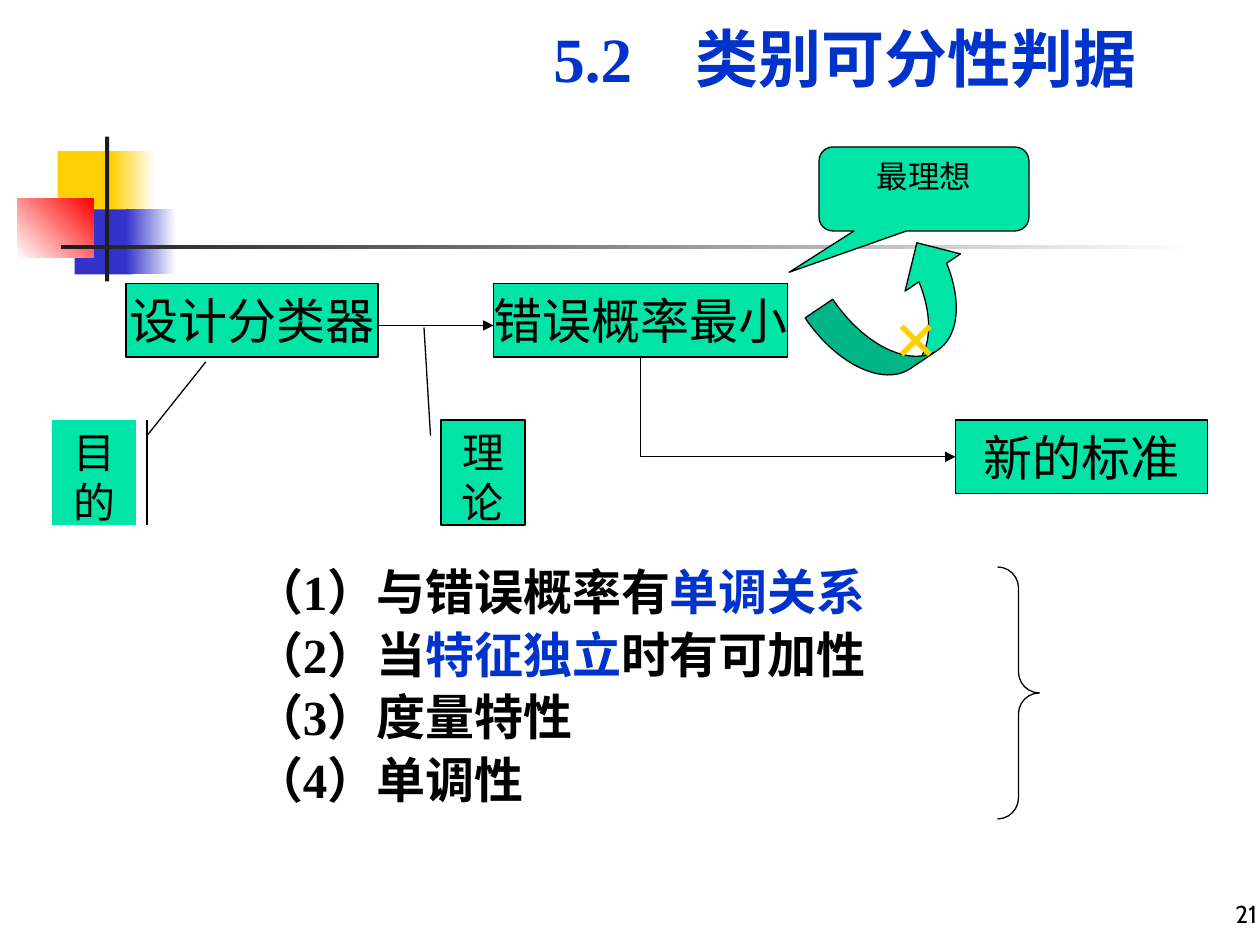
from pptx import Presentation, util as u
from pptx.dml.color import RGBColor as Rgb
from pptx.enum import shapes, text
from pptx.oxml.ns import qn
from lxml import etree

HUES = {"ink": "000000", "mint": "00E4A8", "blue": "0033CC", "gold": "FFCF01",
        "navy": "3333CC", "red": "FF0000", "dark": "1C1C1C", "white": "FFFFFF"}
SERIF = "Times New Roman"
KIND = shapes.MSO_SHAPE
TOP, MID, LOW = text.MSO_ANCHOR.TOP, text.MSO_ANCHOR.MIDDLE, text.MSO_ANCHOR.BOTTOM
LEFT, CENTER, RIGHT = text.PP_ALIGN.LEFT, text.PP_ALIGN.CENTER, text.PP_ALIGN.RIGHT


def hue(name):
    return Rgb.from_string(HUES[name])


def grid(*cells):
    """Lengths on a grid of 120 columns by 90 rows, twelve to the inch."""
    return [u.Inches(c / 12) for c in cells]


class Deck:
    def __init__(self):
        self.prs = Presentation()
        self.prs.slide_width, self.prs.slide_height = grid(120, 90)
        self.slide = self.prs.slides.add_slide(self.prs.slide_layouts[1])

    def fill_in(self, para, runs, size, bold=False, face=SERIF, align=LEFT):
        para.alignment = align
        for words, color in runs:
            run = para.add_run()
            run.text = words
            font = run.font
            font.name, font.size, font.bold = face, u.Pt(size), bold
            font.color.rgb = hue(color)

    def place(self, item, at):
        item.left, item.top, item.width, item.height = grid(*at)

    def title(self, at, words, size):
        item = self.slide.shapes.title
        self.place(item, at)
        frame = item.text_frame
        frame.vertical_anchor = TOP
        frame.auto_size = text.MSO_AUTO_SIZE.NONE
        self.fill_in(frame.paragraphs[0], [(words, "blue")], size, True)

    def body(self, at, lines, size):
        item = self.slide.placeholders[1]
        self.place(item, at)
        frame = item.text_frame
        frame.auto_size = text.MSO_AUTO_SIZE.NONE
        for i, runs in enumerate(lines):
            para = frame.add_paragraph() if i else frame.paragraphs[0]
            props = para._p.get_or_add_pPr()
            props.set("marL", str(u.Inches(0.38)))
            props.set("indent", str(u.Inches(-0.38)))
            etree.SubElement(props, qn("a:buNone"))
            para.line_spacing = 0.9
            para.space_before = u.Pt(size * 0.2 if i else 0)
            self.fill_in(para, runs, size, True)

    def label(self, at, words, size, color, anchor=TOP, **look):
        frame = self.slide.shapes.add_textbox(*grid(*at)).text_frame
        frame.word_wrap, frame.vertical_anchor = True, anchor
        self.fill_in(frame.paragraphs[0], [(words, color)], size, **look)

    def block(self, at, fill, end=None, turn=0):
        """Plain bar or square; with end, it fades from fill to end."""
        item = self.slide.shapes.add_shape(KIND.RECTANGLE, *grid(*at))
        item.shadow.inherit = False
        item.line.fill.background()
        if end:
            item.fill.gradient()
            item.fill.gradient_angle = turn
            for stop, color in zip(item.fill.gradient_stops, (fill, end)):
                stop.color.rgb = hue(color)
        else:
            item.fill.solid()
            item.fill.fore_color.rgb = hue(fill)

    def shape(self, kind, at, words="", size=28, fill="mint", adj=(), turn=0,
              anchor=TOP, wrap=True):
        item = self.slide.shapes.add_shape(kind, *grid(*at))
        item.shadow.inherit = False
        item.rotation = turn
        for i, value in enumerate(adj):
            item.adjustments[i] = value
        if fill:
            item.fill.solid()
            item.fill.fore_color.rgb = hue(fill)
        else:
            item.fill.background()
        item.line.color.rgb, item.line.width = hue("ink"), u.Pt(0.75)
        if words:
            frame = item.text_frame
            frame.word_wrap, frame.vertical_anchor = wrap, anchor
            self.fill_in(frame.paragraphs[0], [(words, "ink")], size, align=CENTER)

    def box(self, at, words):
        self.shape(KIND.RECTANGLE, at, words, anchor=MID, wrap=False)

    def arrow(self, start, end, bent=False):
        """Arrow from start to end; a bent one goes down, then right."""
        (x, y), (x2, y2) = start, end
        kind = shapes.MSO_CONNECTOR.STRAIGHT
        if bent:
            # A quarter turn swaps the frame's sides about its centre
            kind = shapes.MSO_CONNECTOR.ELBOW
            mx, my, dx, dy = (x + x2) / 2, (y + y2) / 2, (x2 - x) / 2, (y2 - y) / 2
            x, y, x2, y2 = mx + dy, my - dx, mx - dy, my + dx
        item = self.slide.shapes.add_connector(kind, *grid(x, y, x2, y2))
        props = item._element.spPr
        if bent:
            props.find(qn("a:xfrm")).set("rot", "16200000")
            props.find(qn("a:prstGeom")).set("prst", "bentConnector2")
        item.line.color.rgb, item.line.width = hue("ink"), u.Pt(0.75)
        etree.SubElement(props.find(qn("a:ln")), qn("a:tailEnd"), type="triangle")
        etree.SubElement(props, qn("a:effectLst"))


def main():
    deck = Deck()

    # Corner ornament and rule
    deck.block((5.5, 14.4, 5.8, 6.2), "gold")
    deck.block((10.5, 14.4, 4.3, 6.2), "gold", "white")
    deck.block((7.1, 19.95, 5.5, 6.2), "navy")
    deck.block((12, 19.95, 4.8, 6.2), "navy", "white")
    deck.block((1.65, 18.95, 7.3, 5.6), "white", "red", 45)
    deck.block((10, 13, 0.4, 13.8), "dark")
    deck.block((5.8, 23.35, 108, 0.4), "dark", "white")

    # Title, criteria and page number
    deck.title((51.5, 1.3, 59.5, 8.5), "5.2　类别可分性判据", 36)
    deck.body((23, 53.5, 63, 27.5), [
        [("（1）与错误概率有", "ink"), ("单调关系", "blue")],
        [("（2）当", "ink"), ("特征独立", "blue"), ("时有可加性", "ink")],
        [("（3）度量特性", "ink")],
        [("（4）单调性", "ink")],
    ], 28)
    deck.label((95.9, 83, 25, 6), "21", 14, "ink", LOW, face="Cabin", align=RIGHT)

    # Flow from classifier to new standard
    deck.box((12, 27, 24, 7), "设计分类器")
    deck.box((47, 27, 28, 7), "错误概率最小")
    deck.box((91, 40, 24, 7), "新的标准")
    deck.arrow((36, 31), (47, 31))
    deck.arrow((61, 34), (91, 43.5), bent=True)

    # Callouts
    deck.shape(KIND.LINE_CALLOUT_1_ACCENT_BAR, (5, 40, 8, 10), "目的", 24,
               adj=(0.15, 1.125, -0.554, 1.826))
    deck.shape(KIND.LINE_CALLOUT_1, (42, 40, 8, 10), "理论", 24,
               adj=(0.15, -0.125, -0.881, -0.203))
    deck.shape(KIND.ROUNDED_RECTANGULAR_CALLOUT, (78, 14, 20, 8), "最理想", 18,
               adj=(-0.642, 0.992, 0.167))

    # Crossed-out return arrow and closing brace
    deck.shape(KIND.CURVED_UP_ARROW, (78, 25, 16, 9.6), turn=326.1,
               adj=(0.331, 0.662, 0.333))
    deck.label((84, 27, 13, 10), "×", 44, "gold", bold=True)
    deck.shape(KIND.RIGHT_BRACE, (95, 54, 4, 24), fill=None, adj=(0.5, 0.5))

    deck.prs.save("out.pptx")


if __name__ == "__main__":
    main()
